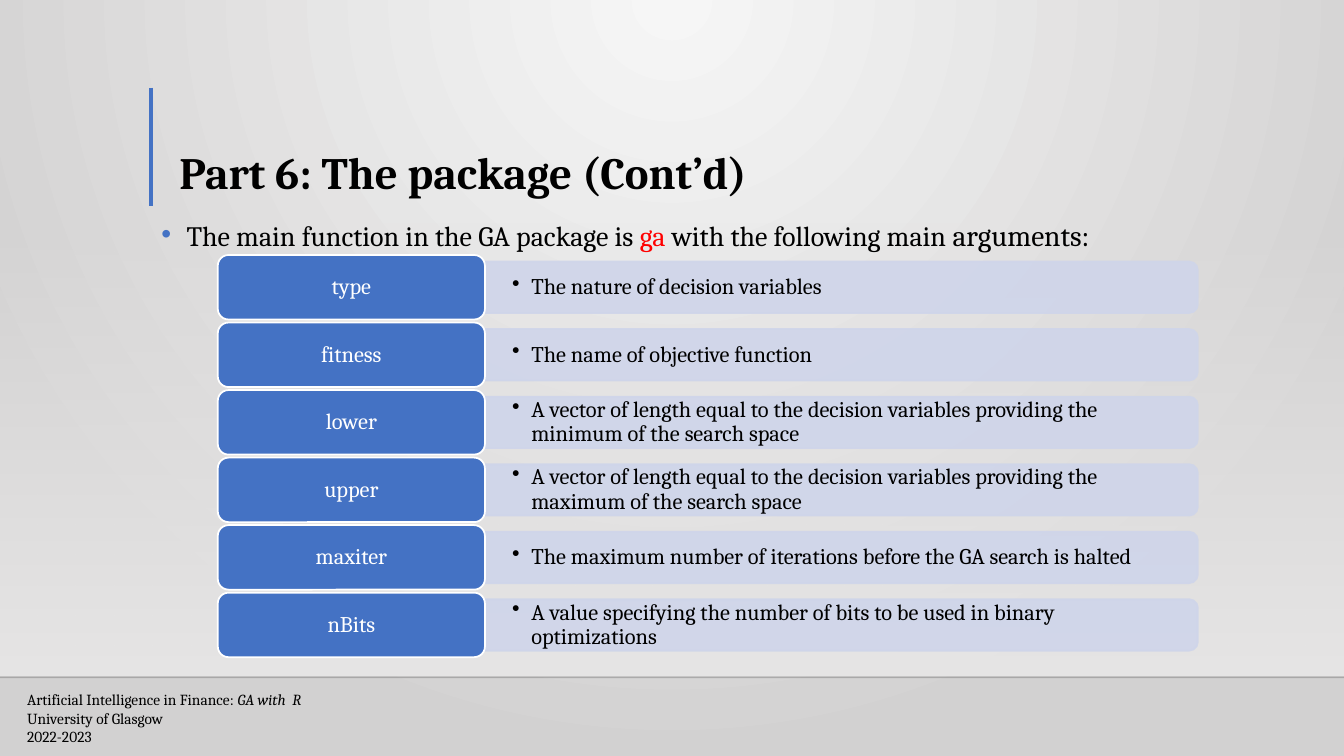
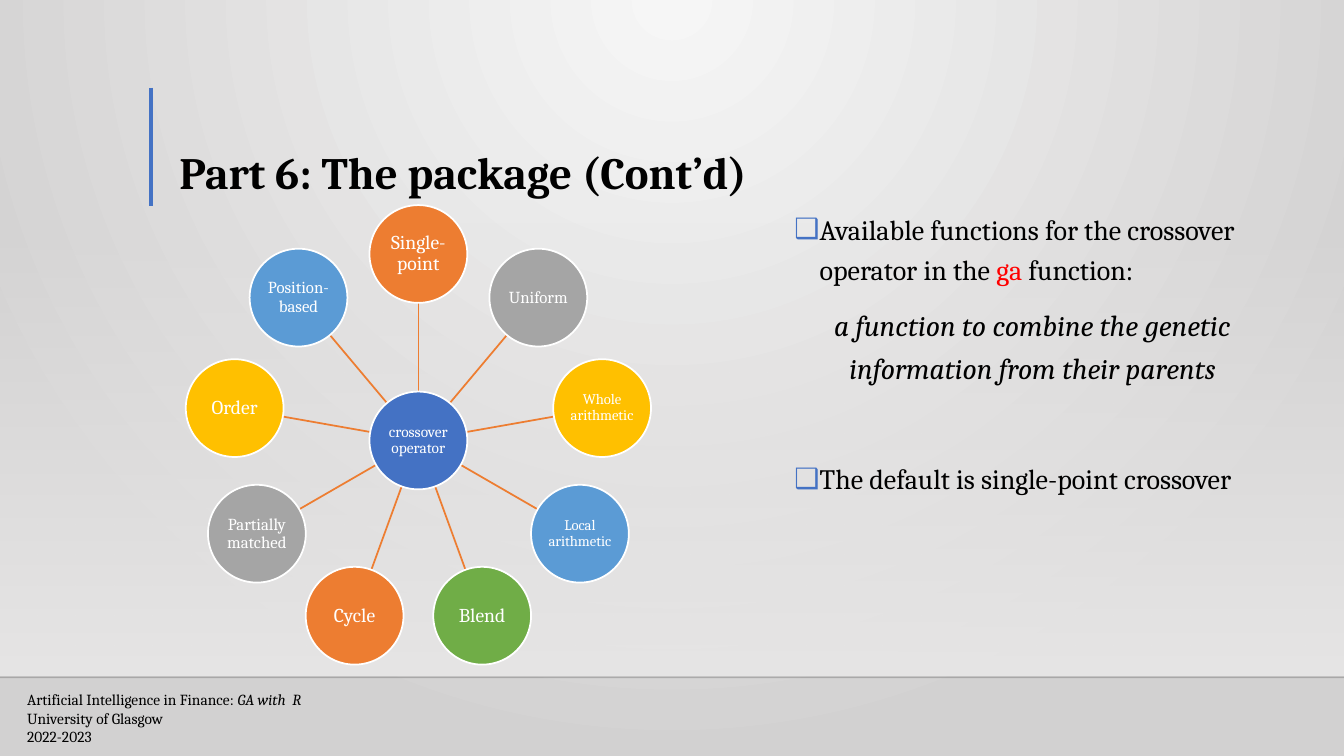
"""Build two slides on the arguments and crossover operators of the ga function."""
from dataclasses import dataclass
from math import cos, radians, sin

from lxml.etree import SubElement
from pptx import Presentation
from pptx.dml.color import RGBColor
from pptx.enum.shapes import MSO_CONNECTOR, MSO_SHAPE
from pptx.enum.text import MSO_ANCHOR, MSO_AUTO_SIZE, PP_ALIGN
from pptx.oxml.ns import qn
from pptx.util import Inches, Pt

RECTANGLE = MSO_SHAPE.RECTANGLE
ROUNDED = MSO_SHAPE.ROUNDED_RECTANGLE
ROUNDED_TOP = MSO_SHAPE.ROUND_2_SAME_RECTANGLE
OVAL = MSO_SHAPE.OVAL
STRAIGHT = MSO_CONNECTOR.STRAIGHT
TOP, MIDDLE, BOTTOM = MSO_ANCHOR.TOP, MSO_ANCHOR.MIDDLE, MSO_ANCHOR.BOTTOM
LEFT, CENTER = PP_ALIGN.LEFT, PP_ALIGN.CENTER
NO_AUTOFIT = MSO_AUTO_SIZE.NONE


@dataclass(frozen=True)
class Theme:
    font: str = "Cambria"
    ink: str = "000000"
    white: str = "FFFFFF"
    red: str = "FF0000"
    blue: str = "4472C4"
    orange: str = "ED7D31"
    gray: str = "A5A5A5"
    gold: str = "FFC000"
    sky: str = "5B9BD5"
    green: str = "70AD47"
    pale_blue: str = "CFD5EA"
    glow: str = "F6F6F6"
    edge: str = "D2D1D1"
    panel: str = "E7E6E6"
    title_size: float = 32
    body_size: float = 20
    accent_size: float = 21
    row_size: float = 16
    footer_size: float = 11


THEME = Theme()


def write(frame, text, size, color=THEME.ink, bold=False, italic=False, align=LEFT,
          spacing=1.0, before=0, bullet=None, bullet_color=THEME.ink, indent=0,
          anchor=TOP, inset=(0.1, 0.05)):
    """Append a paragraph given as a string or as (text, changes) spans."""
    frame.word_wrap = True
    frame.auto_size = NO_AUTOFIT
    frame.vertical_anchor = anchor
    frame.margin_left = frame.margin_right = Inches(inset[0])
    frame.margin_top = frame.margin_bottom = Inches(inset[1])
    para = frame.paragraphs[0]
    if para.runs:
        para = frame.add_paragraph()
    para.alignment = align
    para.line_spacing = spacing
    para.space_before = Pt(before)
    para.space_after = Pt(0)
    properties = para._p.get_or_add_pPr()
    properties.set("marL", str(Inches(indent)))
    properties.set("indent", str(-Inches(indent)))
    if bullet:
        bullet_fill = SubElement(properties, qn("a:buClr"))
        SubElement(bullet_fill, qn("a:srgbClr"), val=bullet_color)
        SubElement(properties, qn("a:buChar"), char=bullet)
    else:
        SubElement(properties, qn("a:buNone"))
    base = {"size": size, "color": color, "bold": bold, "italic": italic}
    for words, changes in [(text, {})] if isinstance(text, str) else text:
        look = base | changes
        span = para.add_run()
        span.text = words
        span.font.name = THEME.font
        span.font.size = Pt(look["size"])
        span.font.bold = look["bold"]
        span.font.italic = look["italic"]
        span.font.color.rgb = RGBColor.from_string(look["color"])


def style(shape, fill=None, line=None, width=1.25, opacity=100):
    """Set fill, line and opacity, and remove the shadow."""
    if fill:
        shape.fill.solid()
        shape.fill.fore_color.rgb = RGBColor.from_string(fill)
    if line:
        shape.line.color.rgb = RGBColor.from_string(line)
        shape.line.width = Pt(width)
    else:
        shape.line.fill.background()
    properties = shape.element.spPr
    if opacity < 100:
        for color in list(properties.iter(qn("a:srgbClr"))):
            SubElement(color, qn("a:alpha"), val=str(opacity * 1000))
    SubElement(properties, qn("a:effectLst"))


deck = Presentation()
deck.slide_width, deck.slide_height = Inches(13.33), Inches(7.5)
master = deck.slide_master
layout = deck.slide_layouts[1]
arguments_page, crossover_page = [deck.slides.add_slide(layout) for _ in range(2)]

backdrop = master.background.fill
backdrop.gradient()
for stop, color in zip(backdrop.gradient_stops, (THEME.glow, THEME.edge)):
    stop.color.rgb = RGBColor.from_string(color)
gradient = master.element.find(".//" + qn("a:gradFill"))
gradient.remove(gradient.find(qn("a:lin")))
circle = SubElement(gradient, qn("a:path"), path="circle")
SubElement(circle, qn("a:fillToRect"), l="43000", t="0", r="43000", b="100000")

panel = arguments_page.shapes.add_shape(RECTANGLE, 0, Inches(2.2), deck.slide_width, Inches(4.5))
panel.fill.gradient()
panel.fill.gradient_angle = 270
for stop in panel.fill.gradient_stops:
    stop.color.rgb = RGBColor.from_string(THEME.panel)
SubElement(panel.element.find(".//" + qn("a:srgbClr")), qn("a:alpha"), val="0")
style(panel)
footer_rule = arguments_page.shapes.add_connector(
    STRAIGHT, 0, Inches(6.72), deck.slide_width, Inches(6.72))
style(footer_rule, line=THEME.ink, width=1, opacity=20)
title_bar = arguments_page.shapes.add_connector(
    STRAIGHT, Inches(1.5), Inches(0.87), Inches(1.5), Inches(2.04))
style(title_bar, line=THEME.blue, width=3)
for index, shape in enumerate((panel, footer_rule, title_bar)):
    next(shape.element.iter(qn("p:cNvPr"))).set("id", str(20 + index))
    master.shapes.element.insert(2 + index, shape.element)

title_area = layout.placeholders[0]
title_area.left, title_area.top = Inches(1.68), Inches(0.88)
title_area.width, title_area.height = Inches(10.41), Inches(1.15)

body_areas = ((1.5, 2.03, 10.59, 0.61), (7.78, 1.99, 4.92, 4.32))
for page, area in zip((arguments_page, crossover_page), body_areas):
    write(page.shapes.title.text_frame, "Part 6: The package (Cont’d)", THEME.title_size,
          bold=True, spacing=0.9, anchor=BOTTOM)
    body = page.placeholders[1]
    body.left, body.top, body.width, body.height = [Inches(value) for value in area]
    footer = page.shapes.add_textbox(Inches(0.17), Inches(6.8), Inches(3.38), Inches(0.66))
    for line in ([("Artificial Intelligence in Finance: ", {}), ("GA with  R", {"italic": True})],
                 "University of Glasgow", "2022-2023"):
        write(footer.text_frame, line, THEME.footer_size)

point = {"size": THEME.body_size, "spacing": 1.2, "before": 10, "indent": 0.25,
         "bullet_color": THEME.blue}
function_name = ("ga", {"color": THEME.red})
write(arguments_page.placeholders[1].text_frame,
      [("The main function in the GA package is ", {}), function_name,
       (" with the following main ", {}), ("arguments:", {"size": THEME.accent_size})],
      bullet="•", **point)

arguments = (
    ("type", "The nature of decision variables"),
    ("fitness", "The name of objective function"),
    ("lower", "A vector of length equal to the decision variables providing the minimum "
              "of the search space"),
    ("upper", "A vector of length equal to the decision variables providing the maximum "
              "of the search space"),
    ("maxiter", "The maximum number of iterations before the GA search is halted"),
    ("nBits", "A value specifying the number of bits to be used in binary optimizations"),
)
label_left, label_width, label_height = 2.16, 2.65, 0.64
bar_left, bar_length, bar_height = label_left + label_width, 7.07, 0.51
text_height = 0.46
for row, (name, meaning) in enumerate(arguments):
    middle = 2.85 + row * 0.67
    bar = arguments_page.shapes.add_shape(
        ROUNDED_TOP, Inches(bar_left + (bar_length - bar_height) / 2),
        Inches(middle - bar_length / 2), Inches(bar_height), Inches(bar_length))
    bar.rotation = 90
    style(bar, THEME.pale_blue, THEME.pale_blue, opacity=90)
    box = arguments_page.shapes.add_textbox(
        Inches(bar_left), Inches(middle - text_height / 2), Inches(7.05), Inches(text_height))
    write(box.text_frame, meaning, THEME.row_size, spacing=0.9, bullet="•", indent=0.19,
          anchor=MIDDLE, inset=(0.27, 0.14))
    label = arguments_page.shapes.add_shape(
        ROUNDED, Inches(label_left), Inches(middle - label_height / 2),
        Inches(label_width), Inches(label_height))
    style(label, THEME.blue, THEME.white)
    write(label.text_frame, name, THEME.row_size, THEME.white, align=CENTER, spacing=0.9,
          anchor=MIDDLE, inset=(0.07, 0.03))

notes = crossover_page.placeholders[1].text_frame
write(notes, [("Available functions for the crossover operator in the ", {}), function_name,
              (" function:", {})], bullet="❑", **point)
write(notes, "a function to combine the genetic information from their parents",
      THEME.accent_size, italic=True, align=CENTER, spacing=1.2, before=10)
write(notes, "The default is single-point crossover", bullet="❑", **(point | {"before": 50}))

operators = (
    ("Single-point", THEME.orange, 14),
    ("Uniform", THEME.gray, 12),
    ("Whole arithmetic", THEME.gold, 10.5),
    ("Local arithmetic", THEME.sky, 10.5),
    ("Blend", THEME.green, 14),
    ("Cycle", THEME.orange, 14),
    ("Partially matched", THEME.gray, 12),
    ("Order", THEME.gold, 14),
    ("Position-based", THEME.sky, 12),
)
hub_x, hub_y, orbit, diameter = 4.15, 4.37, 1.85, 0.97
radius = diameter / 2
nodes = [("crossover operator", THEME.blue, 11, hub_x, hub_y)]
for index, (name, color, size) in enumerate(operators):
    angle = radians(index * 360 / len(operators) - 90)
    across, down = cos(angle), sin(angle)
    nodes.append((name, color, size, hub_x + orbit * across, hub_y + orbit * down))
    near, far = radius, orbit - radius
    spoke = crossover_page.shapes.add_connector(
        STRAIGHT, Inches(hub_x + near * across), Inches(hub_y + near * down),
        Inches(hub_x + far * across), Inches(hub_y + far * down))
    style(spoke, line=THEME.orange)
for name, color, size, x, y in nodes:
    node = crossover_page.shapes.add_shape(
        OVAL, Inches(x - radius), Inches(y - radius), Inches(diameter), Inches(diameter))
    style(node, color, THEME.white)
    write(node.text_frame, name, size, THEME.white, align=CENTER, spacing=0.9,
          anchor=MIDDLE, inset=(0.01, 0.01))

deck.save("out.pptx")
